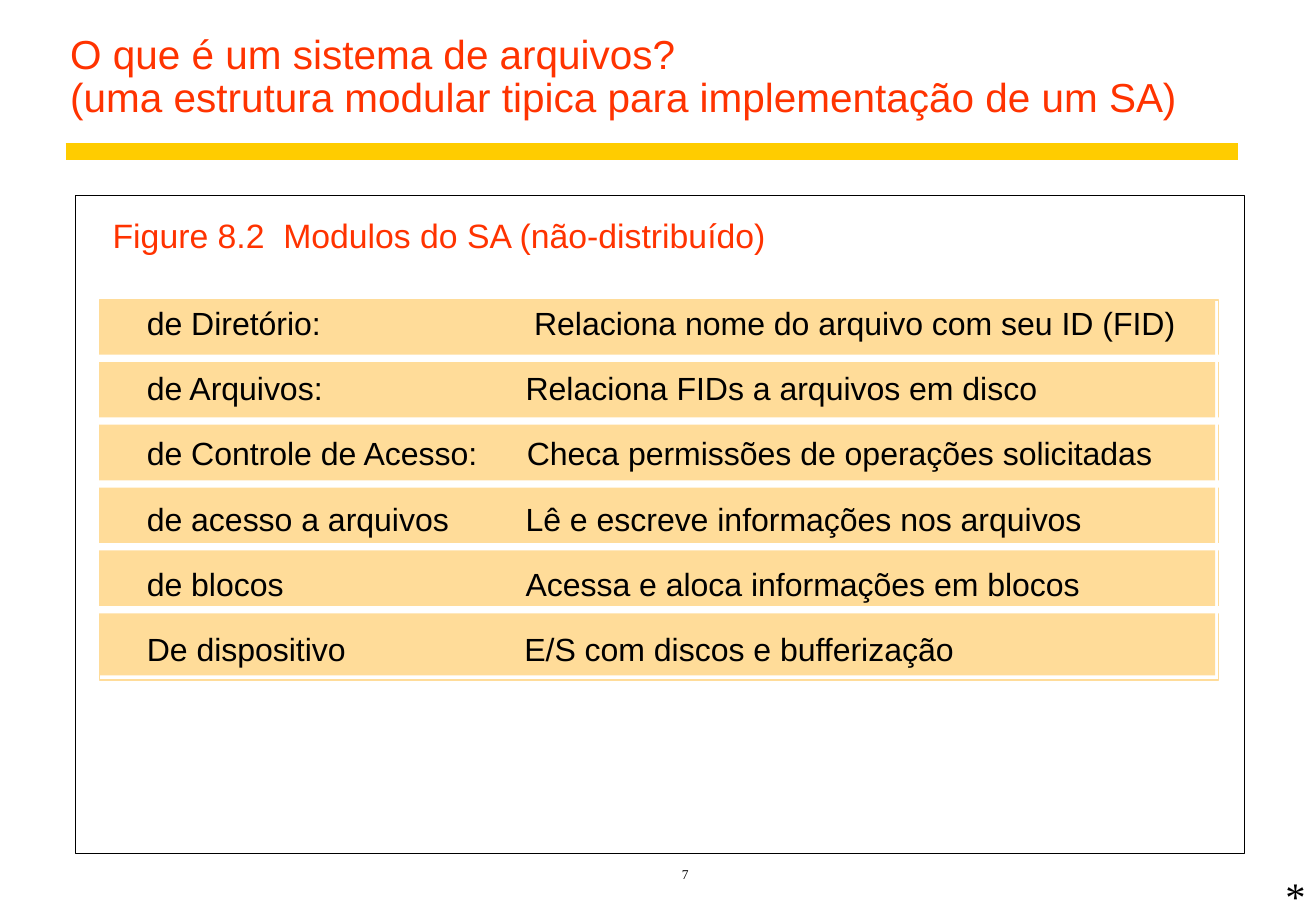
from lxml import etree
from pptx import Presentation
from pptx import util as u
from pptx.dml import color
from pptx.enum import shapes, text
from pptx.oxml import ns


def rgb(value):
    """Turn a hex string into a colour."""
    return color.RGBColor.from_string(value)


class ModuleSlide:
    """Hold the style and the current slide, and draw its elements."""

    RED, BLACK, WHITE = "FF3300", "000000", "FFFFFF"
    GOLD, SAND = "FFCC00", "FFDC99"
    SANS, SERIF = "Arial", "Times New Roman"

    def __init__(self, slide):
        self.slide = slide

    def rule(self, left, right, y, hue, weight):
        """Draw a horizontal line without a shadow."""
        bar = self.slide.shapes.add_connector(
            shapes.MSO_CONNECTOR.STRAIGHT,
            u.Inches(left), u.Inches(y), u.Inches(right), u.Inches(y))
        bar.line.color.rgb = rgb(hue)
        bar.line.width = u.Pt(weight)
        etree.SubElement(bar._element.spPr, ns.qn("a:effectLst"))

    def box(self, left, top, width, height, fill=None, outline=None, weight=0):
        """Draw a rectangle with an optional fill and outline."""
        panel = self.slide.shapes.add_shape(
            shapes.MSO_SHAPE.RECTANGLE,
            u.Inches(left), u.Inches(top), u.Inches(width), u.Inches(height))
        panel.shadow.inherit = False
        if fill:
            panel.fill.solid()
            panel.fill.fore_color.rgb = rgb(fill)
        else:
            panel.fill.background()
        if outline:
            panel.line.color.rgb = rgb(outline)
            panel.line.width = u.Pt(weight)
        else:
            panel.line.fill.background()

    def words(self, left, top, width, height, lines, size, hue=BLACK, face=SANS,
              anchor=text.MSO_ANCHOR.TOP, align=text.PP_ALIGN.LEFT,
              spacing=None, tight=False):
        """Write the lines of one paragraph in a text box."""
        area = self.slide.shapes.add_textbox(
            u.Inches(left), u.Inches(top), u.Inches(width), u.Inches(height))
        frame = area.text_frame
        frame.word_wrap = True
        frame.vertical_anchor = anchor
        if tight:
            frame.margin_left = frame.margin_right = 0
            frame.margin_top = frame.margin_bottom = 0
        paragraph = frame.paragraphs[0]
        paragraph.alignment = align
        if spacing:
            paragraph.line_spacing = spacing
        for index, line in enumerate(lines):
            if index:
                paragraph.add_line_break()
            run = paragraph.add_run()
            run.text = line
            run.font.size = u.Pt(size)
            run.font.name = face
            run.font.color.rgb = rgb(hue)


MODULES = [
    ("de Diretório:", 4.4, "Relaciona nome do arquivo com seu ID (FID)"),
    ("de Arquivos:", 4.33, "Relaciona FIDs a arquivos em disco"),
    ("de Controle de Acesso:", 4.34, "Checa permissões de operações solicitadas"),
    ("de acesso a arquivos", 4.33, "Lê e escreve informações nos arquivos"),
    ("de blocos", 4.33, "Acessa e aloca informações em blocos"),
    ("De dispositivo", 4.32, "E/S com discos e bufferização"),
]


def main():
    """Build the slide and save it."""
    deck = Presentation()
    deck.slide_width, deck.slide_height = u.Inches(10.84), u.Inches(7.5)
    page = ModuleSlide(deck.slides.add_slide(deck.slide_layouts[6]))

    page.rule(0.54, 10.2, 1.25, page.GOLD, 10)
    page.words(2.35, 7, 6.59, 0.31, ["7"], 8, face=page.SERIF,
               anchor=text.MSO_ANCHOR.BOTTOM, align=text.PP_ALIGN.CENTER)
    page.box(0.62, 1.61, 9.63, 5.42, outline=page.BLACK, weight=0.75)
    page.words(0.83, 1.72, 7.7, 0.44,
               ["Figure 8.2  Modulos do SA (não-distribuído)"], 20, page.RED)
    page.words(0.48, 0.25, 9.72, 0.8,
               ["O que é um sistema de arquivos?",
                "(uma estrutura modular tipica para implementação de um SA)"],
               24, page.RED, anchor=text.MSO_ANCHOR.BOTTOM, spacing=0.9)
    page.words(10.49, 7.12, 0.33, 0.5, ["*"], 24, face=page.SERIF)

    page.box(0.82, 2.47, 9.19, 3.09, fill=page.SAND)
    page.box(0.82, 2.47, 9.22, 3.13, outline=page.SAND)
    last = len(MODULES) - 1
    for row, (module, detail_left, detail) in enumerate(MODULES):
        top = 2.5 + 2.68 * row / last
        page.words(1.21, top, 3, 0.32, [module], 19, tight=True)
        page.words(detail_left, top, 5.5, 0.32, [detail], 19, tight=True)
    for gap in range(last):
        top = 2.92 + 2.07 * gap / (last - 1)
        for left, width in ((0.75, 0.03), (10.1, 0.03), (0.78, 9.32)):
            page.box(left, top, width, 0.06, fill=page.WHITE)

    deck.save("out.pptx")


if __name__ == "__main__":
    main()
